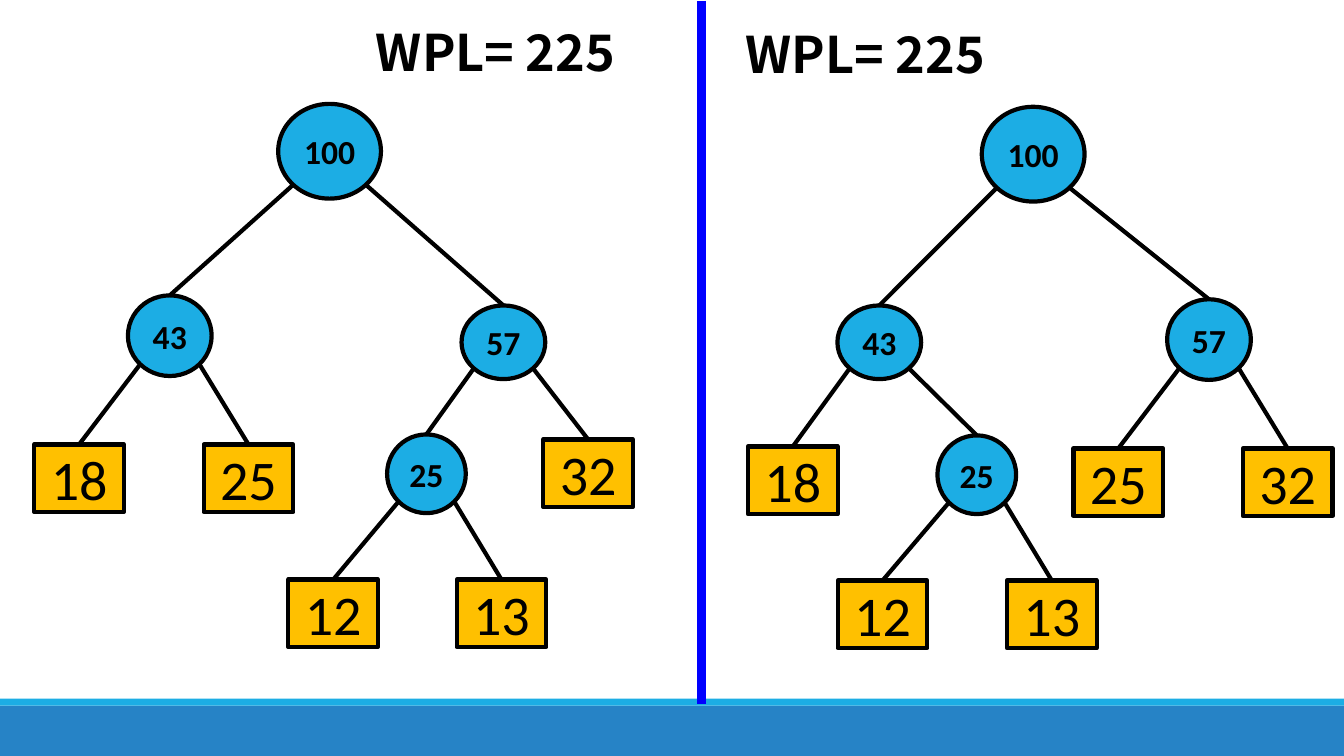
"""Build a slide comparing two Huffman trees with the same weighted path length."""
from dataclasses import dataclass
from math import sqrt
from typing import Any

from lxml import etree
from pptx import Presentation
from pptx import util as u
from pptx.dml.color import RGBColor
from pptx.enum import shapes, text
from pptx.oxml import ns

BLACK = RGBColor(0x00, 0x00, 0x00)
SKY = RGBColor(0x1C, 0xAD, 0xE4)
BLUE = RGBColor(0x26, 0x83, 0xC6)
AMBER = RGBColor(0xFF, 0xC0, 0x00)
DIVIDER = RGBColor(0x00, 0x00, 0xFF)

PAGE_WIDTH, PAGE_HEIGHT = 960, 540
LEAF_SIZE = (64.1, 48.2)
ROOT_SIZE = (73.4, 67.7)
TALL_SIZE = (59.8, 57.6)
FLAT_SIZE = (59.8, 52.6)
SMALL_SIZE = (56.2, 56.2)

LEAF_FONT = {"name": "Calibri", "size": u.Pt(40), "bold": False}
INNER_FONT = {"name": "Calibri", "size": u.Pt(24), "bold": True}
TITLE_FONT = {"name": "Noto Sans CJK SC", "size": u.Pt(36), "bold": True}
LABEL_FRAME = {
    "margin_left": 0, "margin_right": 0, "margin_top": 0, "margin_bottom": 0,
    "word_wrap": False, "vertical_anchor": text.MSO_ANCHOR.MIDDLE,
}
TITLE_FRAME = {"word_wrap": False, "auto_size": text.MSO_AUTO_SIZE.SHAPE_TO_FIT_TEXT}


@dataclass(frozen=True)
class Node:
    """A tree node placed by its top centre; a node without children is a leaf."""
    label: str
    x: float
    top: float
    size: tuple[float, float] = LEAF_SIZE
    children: tuple["Node", ...] = ()


@dataclass(frozen=True)
class Tree:
    """A tree with its title position."""
    title_left: float
    title_top: float
    root: Node


TREES = (
    Tree(261.4, 11.5, Node("100", 235.4, 74.2, ROOT_SIZE, (
        Node("43", 121.3, 211, TALL_SIZE, (
            Node("18", 56.5, 317.5), Node("25", 177.5, 317.5))),
        Node("57", 359.6, 218.2, FLAT_SIZE, (
            Node("25", 304.6, 310.3, SMALL_SIZE, (
                Node("12", 238, 414), Node("13", 358.2, 414))),
            Node("32", 420.1, 313.9))),
    ))),
    Tree(525.6, 13, Node("100", 738, 76.3, ROOT_SIZE, (
        Node("43", 628.1, 218.2, FLAT_SIZE, (
            Node("18", 566.3, 319),
            Node("25", 697.7, 311, SMALL_SIZE, (
                Node("12", 630.4, 414.7), Node("13", 751.3, 414.7))))),
        Node("57", 863.6, 213.8, TALL_SIZE, (
            Node("25", 798.8, 320.4), Node("32", 919.8, 320.4))),
    ))),
)


def apply_format(target: Any, values: dict[str, Any]) -> None:
    """Set every named attribute on the target."""
    for name, value in values.items():
        setattr(target, name, value)


def write_text(frame: Any, words: str, font: dict[str, Any], align: Any) -> None:
    """Write one black line of text in the frame."""
    para = frame.paragraphs[0]
    para.alignment = align
    span = para.add_run()
    span.text = words
    apply_format(span.font, font)
    span.font.color.rgb = BLACK


def add_block(page: Any, kind: Any, left: float, top: float,
              size: tuple[float, float], fill: RGBColor) -> Any:
    """Add a filled shape without shadow or outline."""
    width, height = size
    shape = page.shapes.add_shape(kind, u.Pt(left), u.Pt(top), u.Pt(width), u.Pt(height))
    shape.shadow.inherit = False
    shape.fill.solid()
    shape.fill.fore_color.rgb = fill
    shape.line.fill.background()
    return shape


def add_line(page: Any, start: tuple[float, float], end: tuple[float, float],
             color: RGBColor, width: float) -> Any:
    """Add a straight line without shadow."""
    line = page.shapes.add_connector(
        shapes.MSO_CONNECTOR.STRAIGHT, *(u.Pt(value) for value in (*start, *end)))
    line.line.color.rgb = color
    line.line.width = u.Pt(width)
    etree.SubElement(line._element.spPr, ns.qn("a:effectLst"))
    return line


def add_node(page: Any, node: Node) -> Any:
    """Draw a node, its subtrees and the edges to its children."""
    child_shapes = [add_node(page, child) for child in node.children]
    width, height = node.size
    kind, fill, font = (
        (shapes.MSO_SHAPE.OVAL, SKY, INNER_FONT) if node.children
        else (shapes.MSO_SHAPE.RECTANGLE, AMBER, LEAF_FONT))
    shape = add_block(page, kind, node.x - width / 2, node.top, node.size, fill)
    shape.line.color.rgb = BLACK
    shape.line.width = u.Pt(3)
    apply_format(shape.text_frame, LABEL_FRAME)
    write_text(shape.text_frame, node.label, font, text.PP_ALIGN.CENTER)
    for side, child, child_shape in zip((-1, 1), node.children, child_shapes):
        start = (node.x + side * width / sqrt(8), node.top + height / 2 + height / sqrt(8))
        edge = add_line(page, start, (child.x, child.top), BLACK, 3)
        edge.end_connect(child_shape, 0)
    return shape


def add_tree(page: Any, tree: Tree) -> None:
    """Draw a tree and its title."""
    add_node(page, tree.root)
    box = page.shapes.add_textbox(
        u.Pt(tree.title_left), u.Pt(tree.title_top), u.Pt(203), u.Pt(51.1))
    apply_format(box.text_frame, TITLE_FRAME)
    write_text(box.text_frame, "WPL= 225", TITLE_FONT, text.PP_ALIGN.LEFT)


def main() -> None:
    """Build and save the deck."""
    deck = Presentation()
    deck.slide_width, deck.slide_height = u.Pt(PAGE_WIDTH), u.Pt(PAGE_HEIGHT)
    page = deck.slides.add_slide(deck.slide_layouts[6])
    for top, height, fill in ((504, 36, BLUE), (499, 5, SKY)):
        add_block(page, shapes.MSO_SHAPE.RECTANGLE, 0, top, (PAGE_WIDTH, height), fill)
    for tree in TREES:
        add_tree(page, tree)
    add_line(page, (501, 0.7), (501, 502.6), DIVIDER, 6)
    deck.save("out.pptx")


if __name__ == "__main__":
    main()
